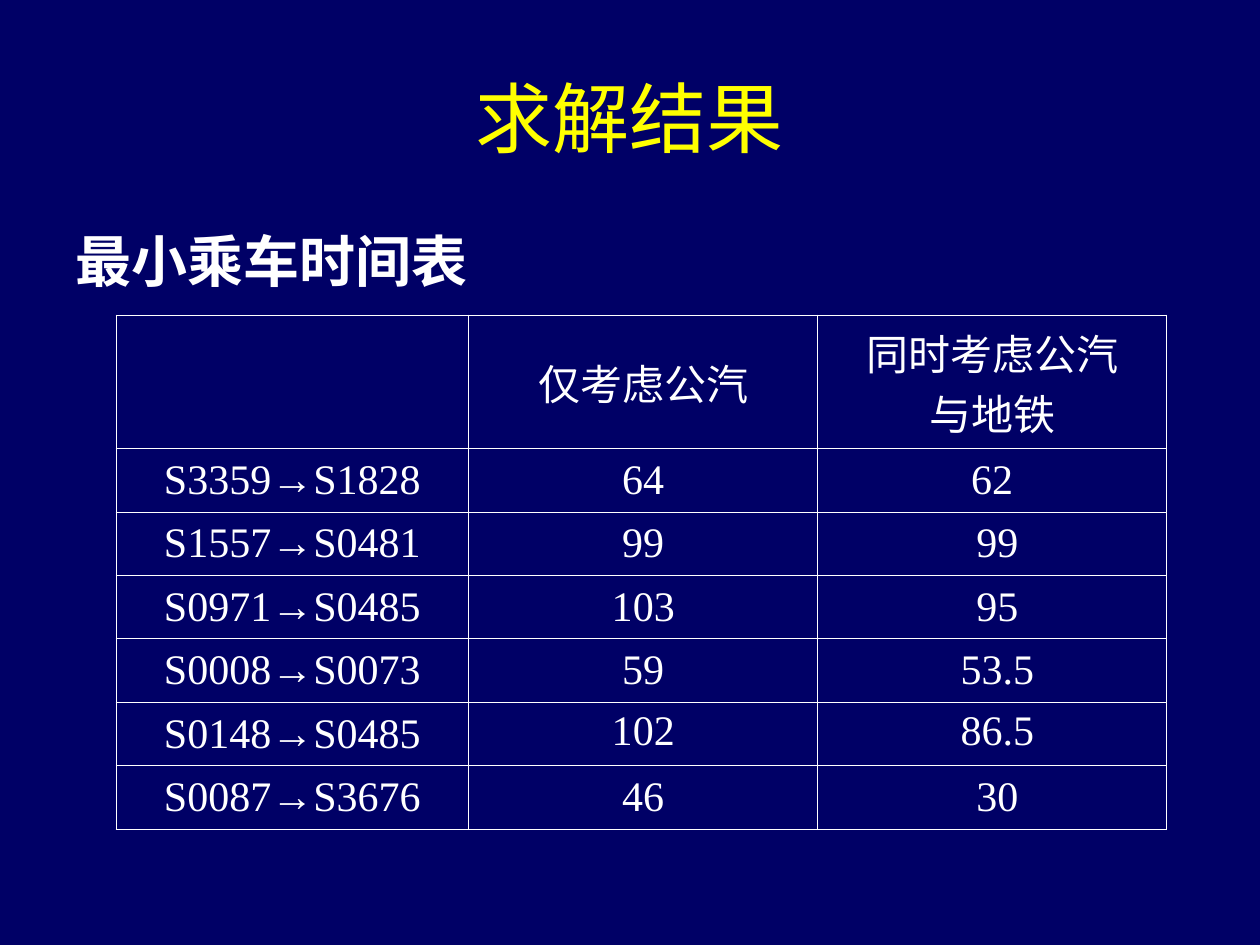
import pptx
import pptx.dml.color
import pptx.enum.text
import pptx.oxml
import pptx.oxml.ns
import pptx.util

NAVY = pptx.dml.color.RGBColor(0x00, 0x00, 0x66)
YELLOW = pptx.dml.color.RGBColor(0xFF, 0xFF, 0x00)
WHITE = pptx.dml.color.RGBColor(0xFF, 0xFF, 0xFF)
HEADING_FONT, BODY_FONT = "Arial", "Times New Roman"
ALIGN = pptx.enum.text.PP_ALIGN
ANCHOR = pptx.enum.text.MSO_ANCHOR

SLIDE_WIDTH, SLIDE_HEIGHT = pptx.util.Inches(10), pptx.util.Inches(7.5)
COLUMN_WIDTHS = (2.8, 2.77, 2.77)
# The header holds two lines of text; the routes share the rest evenly
HEADER_HEIGHT = pptx.util.Inches(1.06)
TABLE_HEIGHT = pptx.util.Inches(4.08)
BORDER_WIDTH = 0.45
TOP_ANCHORED_ROW = 5

TRAVEL_TIMES = [
    ("", "仅考虑公汽", "同时考虑公汽\n与地铁"),
    ("S3359→S1828", "64", " 62 "),
    ("S1557→S0481", "99", " 99"),
    ("S0971→S0485", "103", " 95"),
    ("S0008→S0073", "59", " 53.5"),
    ("S0148→S0485", "102", " 86.5"),
    ("S0087→S3676", "46", " 30"),
]


def share_box(left, top, width, height):
    """Turn shares of the slide into a box in slide units."""
    return (int(left * SLIDE_WIDTH), int(top * SLIDE_HEIGHT),
            int(width * SLIDE_WIDTH), int(height * SLIDE_HEIGHT))


def write_lines(frame, text, size, font, color, align, bold=False):
    for index, line in enumerate(text.split("\n")):
        paragraph = frame.paragraphs[0] if index == 0 else frame.add_paragraph()
        paragraph.alignment = align
        run = paragraph.add_run()
        run.text = line
        run.font.size = pptx.util.Pt(size)
        run.font.name = font
        run.font.bold = bold
        run.font.color.rgb = color


def add_heading(slide, box, text, size, font, color, align, anchor, bold=False):
    frame = slide.shapes.add_textbox(*box).text_frame
    frame.word_wrap = True
    frame.vertical_anchor = anchor
    write_lines(frame, text, size, font, color, align, bold)
    return frame


def add_borders(cell):
    properties = cell._tc.get_or_add_tcPr()
    namespace = pptx.oxml.ns.nsdecls("a")
    width = pptx.util.Pt(BORDER_WIDTH)
    # Borders must stand before the fill
    for position, side in enumerate(("lnL", "lnR", "lnT", "lnB")):
        properties.insert(position, pptx.oxml.parse_xml(
            f'<a:{side} {namespace} w="{width}"><a:solidFill>'
            f'<a:srgbClr val="{WHITE}"/></a:solidFill></a:{side}>'))


def add_time_table(slide, box, rows):
    table = slide.shapes.add_table(len(rows), len(COLUMN_WIDTHS), *box).table
    table.first_row = table.horz_banding = False
    for column, width in zip(table.columns, COLUMN_WIDTHS):
        column.width = pptx.util.Inches(width)
    route_height = (box[3] - HEADER_HEIGHT) // (len(rows) - 1)
    for row_index, values in enumerate(rows):
        table.rows[row_index].height = route_height if row_index else HEADER_HEIGHT
        for column_index, value in enumerate(values):
            cell = table.cell(row_index, column_index)
            cell.fill.background()
            add_borders(cell)
            at_top = row_index == TOP_ANCHORED_ROW and column_index > 0
            cell.vertical_anchor = ANCHOR.TOP if at_top else ANCHOR.MIDDLE
            if value:
                write_lines(cell.text_frame, value, 24, BODY_FONT, WHITE, ALIGN.CENTER)


def build_results_slide(presentation):
    slide = presentation.slides.add_slide(presentation.slide_layouts[6])
    slide.background.fill.solid()
    slide.background.fill.fore_color.rgb = NAVY

    # Title
    add_heading(slide, share_box(0.05, 0.04, 0.9, 1 / 6), "求解结果", 44,
                HEADING_FONT, YELLOW, ALIGN.CENTER, ANCHOR.MIDDLE)
    # Table caption
    caption = add_heading(slide, share_box(0.05, 7 / 30, 0.9, 0.1), "最小乘车时间表", 32,
                          BODY_FONT, WHITE, ALIGN.LEFT, ANCHOR.TOP, bold=True)
    caption.paragraphs[0].space_before = pptx.util.Pt(8)
    # Travel times by route
    table_box = share_box(0.092, 1 / 3, 0.834, TABLE_HEIGHT / SLIDE_HEIGHT)
    add_time_table(slide, table_box, TRAVEL_TIMES)


def main():
    presentation = pptx.Presentation()
    presentation.slide_width, presentation.slide_height = SLIDE_WIDTH, SLIDE_HEIGHT
    build_results_slide(presentation)
    presentation.save("out.pptx")


if __name__ == "__main__":
    main()
